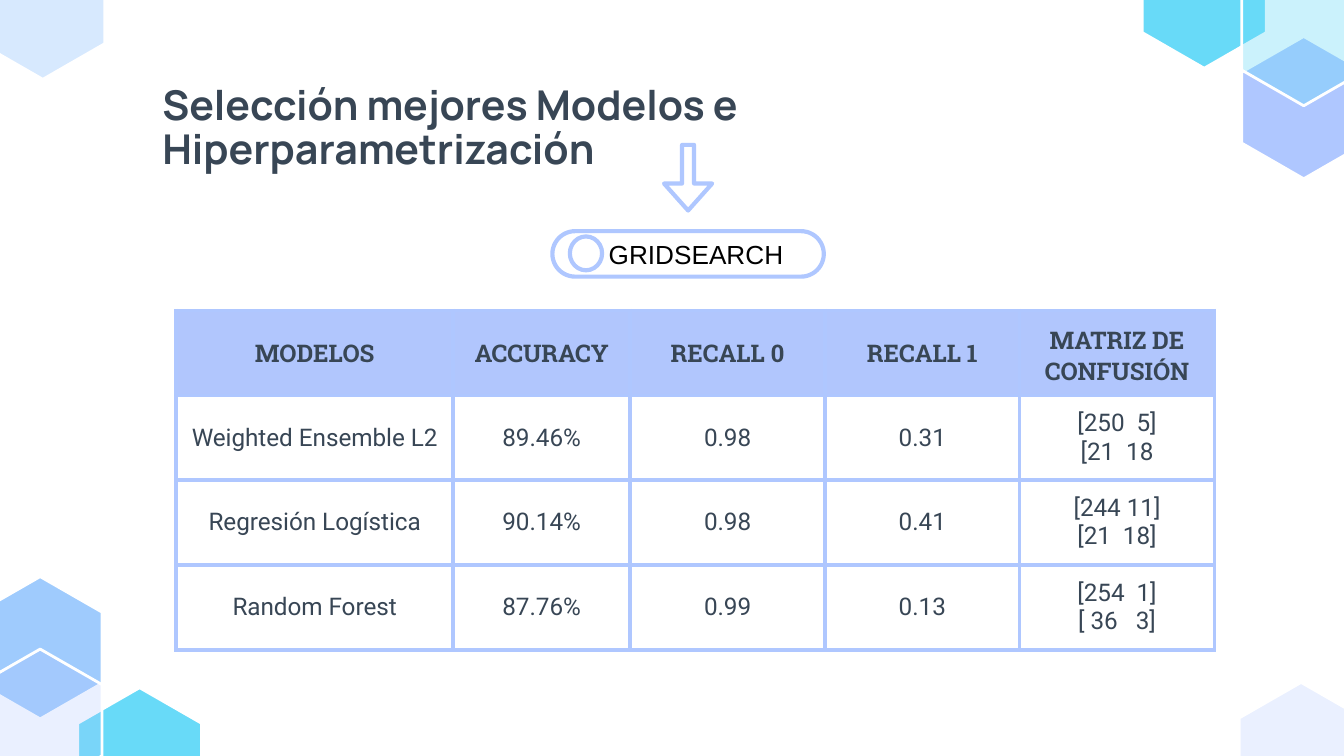
from lxml import etree
from pptx import Presentation
from pptx.dml.color import RGBColor
from pptx.enum.shapes import MSO_SHAPE
from pptx.enum.text import MSO_ANCHOR, PP_ALIGN
from pptx.oxml.ns import qn
from pptx.util import Cm, Pt

OVAL = MSO_SHAPE.OVAL
PILL = MSO_SHAPE.ROUNDED_RECTANGLE
ARROW = MSO_SHAPE.DOWN_ARROW
MIDDLE = MSO_ANCHOR.MIDDLE
CENTER = PP_ALIGN.CENTER
LEFT = PP_ALIGN.LEFT

COLORS = {
    "ink": "384655", "black": "000000", "white": "FFFFFF", "cyan": "68DAF8",
    "sky": "9FCBFD", "violet": "AFC7FF", "head": "B1C6FD",
}
PAD = 0.25  # inner margin of text, cm

# left, top, fill, opacity in percent
HEX_SIZE = (2.34, 2.69)
HEXES = [
    (1.47, 13, "cyan", 100), (-0.41, 10.9, "sky", 100),
    (-0.41, 12.27, "violet", 25), (23.42, 12.9, "violet", 25),
    (-0.36, -1.19, "sky", 41), (21.59, -1.4, "cyan", 100),
    (23.47, 0.69, "violet", 100), (23.47, -0.69, "cyan", 34),
]

COLS = [5.23, 3.35, 3.68, 3.68, 3.68]
ROWS = [
    ["MODELOS", "ACCURACY", "RECALL 0", "RECALL 1", "MATRIZ DE\nCONFUSIÓN"],
    ["Weighted Ensemble L2", "89.46%", "0.98", "0.31", "[250  5]\n[21  18"],
    ["Regresión Logística", "90.14%", "0.98", "0.41", "[244 11]\n[21  18]"],
    ["Random Forest", "87.76%", "0.99", "0.13", "[254  1]\n[ 36   3]"],
]


def rgb(name):
    return RGBColor.from_string(COLORS[name])


def style_text(frame, size, font, color, bold=False, align=LEFT):
    for para in frame.paragraphs:
        para.alignment = align
        for run in para.runs:
            run.font.size = Pt(size)
            run.font.name = font
            run.font.bold = bold
            run.font.color.rgb = rgb(color)


def add_hex(slide, left, top, width, height, color, alpha):
    """Pointed-top hexagon that fills its box."""
    ratios = [(0.5, 0), (1, 0.25), (1, 0.75), (0.5, 1), (0, 0.75), (0, 0.25)]
    points = [(Cm(left + x * width), Cm(top + y * height)) for x, y in ratios]
    path = slide.shapes.build_freeform(*points[0])
    path.add_line_segments(points[1:], close=True)
    shape = path.convert_to_shape()
    shape.shadow.inherit = False
    shape.fill.solid()
    shape.fill.fore_color.rgb = rgb(color)
    if alpha < 100:
        tint = shape.element.spPr.find(qn("a:solidFill"))[0]
        etree.SubElement(tint, qn("a:alpha")).set("val", str(alpha * 1000))
    shape.line.color.rgb = rgb("white")
    shape.line.width = Pt(1.5)


def add_title(slide, left, top, width, height):
    box = slide.shapes.add_textbox(Cm(left), Cm(top), Cm(width), Cm(height))
    frame = box.text_frame
    frame.word_wrap = True
    frame.margin_top = frame.margin_left = Cm(PAD)
    frame.text = "Selección mejores Modelos e Hiperparametrización"
    frame.paragraphs[0].line_spacing = 0.9
    style_text(frame, 22, "Manrope", "ink", bold=True)


def add_outline(slide, kind, left, top, width, height):
    shape = slide.shapes.add_shape(kind, Cm(left), Cm(top), Cm(width), Cm(height))
    shape.shadow.inherit = False
    shape.fill.background()
    shape.line.color.rgb = rgb("violet")
    shape.line.width = Pt(2.25)
    return shape


def add_switch(slide, left, top, width, height):
    """Toggle with a knob and a label, under a down arrow."""
    arrow = add_outline(slide, ARROW, left + 2.11, top - 1.63, 0.91, 1.24)
    arrow.adjustments[0] = 0.25
    arrow.adjustments[1] = 0.56

    pill = add_outline(slide, PILL, left, top, width, height)
    pill.adjustments[0] = 0.5
    frame = pill.text_frame
    frame.word_wrap = True
    frame.vertical_anchor = MIDDLE
    frame.margin_left = Cm(0.94)
    frame.margin_right = frame.margin_top = frame.margin_bottom = Cm(0)
    frame.text = "GRIDSEARCH"
    style_text(frame, 14, "Arial", "black")

    add_outline(slide, OVAL, left + 0.33, top + 0.1, 0.61, 0.64)


def add_border(cell):
    props = cell._tc.get_or_add_tcPr()
    for spot, side in enumerate(("lnL", "lnR", "lnT", "lnB")):
        line = etree.Element(qn("a:" + side), w=str(Pt(2.25)))
        fill = etree.SubElement(line, qn("a:solidFill"))
        etree.SubElement(fill, qn("a:srgbClr")).set("val", COLORS["violet"])
        props.insert(spot, line)


def add_scores(slide, left, top, width, height):
    grid = slide.shapes.add_table(
        len(ROWS), len(COLS), Cm(left), Cm(top), Cm(width), Cm(height)).table
    for col, size in zip(grid.columns, COLS):
        col.width = Cm(size)
    for r, row in enumerate(ROWS):
        head = r == 0
        for c, text in enumerate(row):
            cell = grid.cell(r, c)
            cell.fill.solid()
            cell.fill.fore_color.rgb = rgb("head" if head else "white")
            cell.vertical_anchor = MIDDLE
            cell.margin_left = cell.margin_right = Cm(PAD)
            cell.margin_top = cell.margin_bottom = Cm(PAD)
            cell.text_frame.text = text
            font = "Roboto Slab" if head else "Roboto"
            style_text(cell.text_frame, 13, font, "ink", head, CENTER)
            add_border(cell)


def main():
    deck = Presentation()
    deck.slide_width, deck.slide_height = Cm(25.4), Cm(14.29)
    slide = deck.slides.add_slide(deck.slide_layouts[6])

    # Corner hexagons
    for left, top, color, alpha in HEXES:
        add_hex(slide, left, top, *HEX_SIZE, color, alpha)

    # Title, method and results
    add_title(slide, 2.82, 1.35, 19.53, 1.52)
    add_switch(slide, 10.44, 4.37, 5.13, 0.86)
    add_scores(slide, 3.33, 5.87, sum(COLS), 6.1)

    deck.save("out.pptx")


if __name__ == "__main__":
    main()
